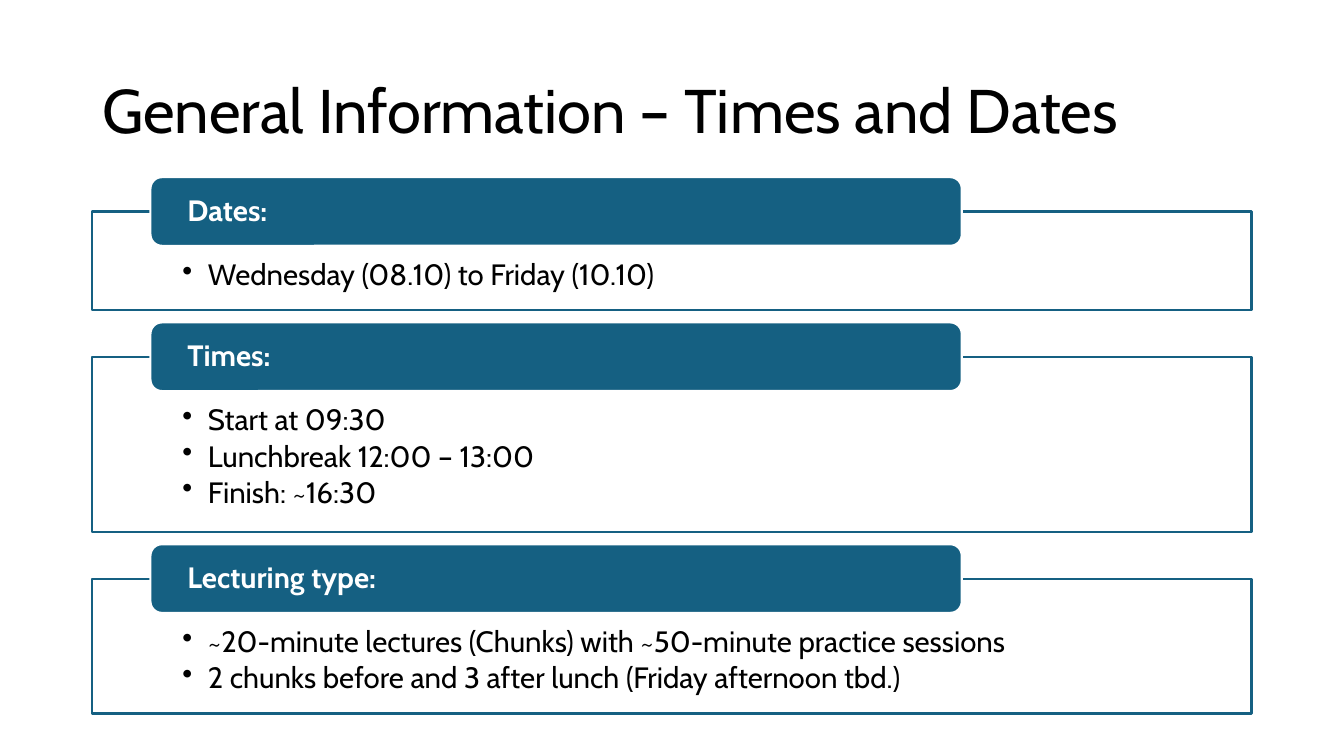
import pptx
import pptx.dml.color
import pptx.enum.shapes
import pptx.enum.text
import pptx.oxml
import pptx.oxml.ns
import pptx.util
from pptx.util import Cm

FONT = "Cabin"
BLACK, WHITE, TEAL = "000000", "FFFFFF", "156082"
SHAPE = pptx.enum.shapes.MSO_SHAPE
ANCHOR = pptx.enum.text.MSO_ANCHOR

SECTIONS = [
    ("Dates:", 2.48, ["Wednesday (08.10) to Friday (10.10)"]),
    ("Times:", 4.41, ["Start at 09:30", "Lunchbreak 12:00 – 13:00", "Finish: ~16:30"]),
    ("Lecturing type:", 3.4, [
        "~20-minute lectures (Chunks) with ~50-minute practice sessions",
        "2 chunks before and 3 after lunch (Friday afternoon tbd.)",
    ]),
]


def rgb(color):
    return pptx.dml.color.RGBColor.from_string(color)


def add_box(slide, kind, left, top, width, height, fill, line):
    sp = slide.shapes.add_shape(kind, Cm(left), Cm(top), Cm(width), Cm(height))
    sp.shadow.inherit = False
    sp.fill.solid()
    sp.fill.fore_color.rgb = rgb(fill)
    sp.line.color.rgb = rgb(line)
    sp.line.width = pptx.util.Pt(1.5)
    return sp


def set_text(sp, text, size, color, anchor, margins, bold=False, space_after=0):
    tf = sp.text_frame
    tf.word_wrap = True
    tf.vertical_anchor = anchor
    tf.margin_left, tf.margin_top, tf.margin_right, tf.margin_bottom = map(Cm, margins)
    tf.text = text
    for p in tf.paragraphs:
        p.alignment = pptx.enum.text.PP_ALIGN.LEFT
        p.line_spacing = 0.9
        p.space_after = pptx.util.Pt(space_after)
        for r in p.runs:
            r.font.name = FONT
            r.font.size = pptx.util.Pt(size)
            r.font.bold = bold
            r.font.color.rgb = rgb(color)


def add_bullet(p):
    p.level = 1
    pPr = p._p.get_or_add_pPr()
    pPr.set("marL", str(Cm(0.64)))
    pPr.set("indent", str(-Cm(0.64)))
    bullet = pptx.oxml.parse_xml(f'<a:buChar {pptx.oxml.ns.nsdecls("a")} char="•"/>')
    pPr.append(bullet)


def add_title(slide, left, top, width, height, text):
    sp = slide.shapes.add_textbox(Cm(left), Cm(top), Cm(width), Cm(height))
    set_text(sp, text, 44, BLACK, ANCHOR.MIDDLE, (0.25, 0.13, 0.25, 0.13))


def add_section(slide, left, top, width, height, heading, items):
    frame = add_box(slide, SHAPE.RECTANGLE, left, top, width, height, WHITE, TEAL)
    set_text(frame, "\n".join(items), 21, BLACK, ANCHOR.TOP,
             (2.27, 1.23, 2.27, 0.41), space_after=3.15)
    for p in frame.text_frame.paragraphs:
        add_bullet(p)

    tab_height = 1.73
    tab = add_box(slide, SHAPE.ROUNDED_RECTANGLE, left + width * 0.05,
                  top - tab_height / 2, width * 0.7, tab_height, TEAL, WHITE)
    set_text(tab, heading, 21, WHITE, ANCHOR.MIDDLE, (0.85, 0, 0.85, 0), bold=True)


def main():
    prs = pptx.Presentation()
    prs.slide_width, prs.slide_height = Cm(33.87), Cm(19.05)
    slide = prs.slides.add_slide(prs.slide_layouts[6])

    left, width, gap = 2.33, 29.21, 1.18
    add_title(slide, left, 1.01, width, 3.68, "General Information – Times and Dates")
    top = 5.33
    for heading, height, items in SECTIONS:
        add_section(slide, left, top, width, height, heading, items)
        top += height + gap

    prs.save("out.pptx")


if __name__ == "__main__":
    main()
